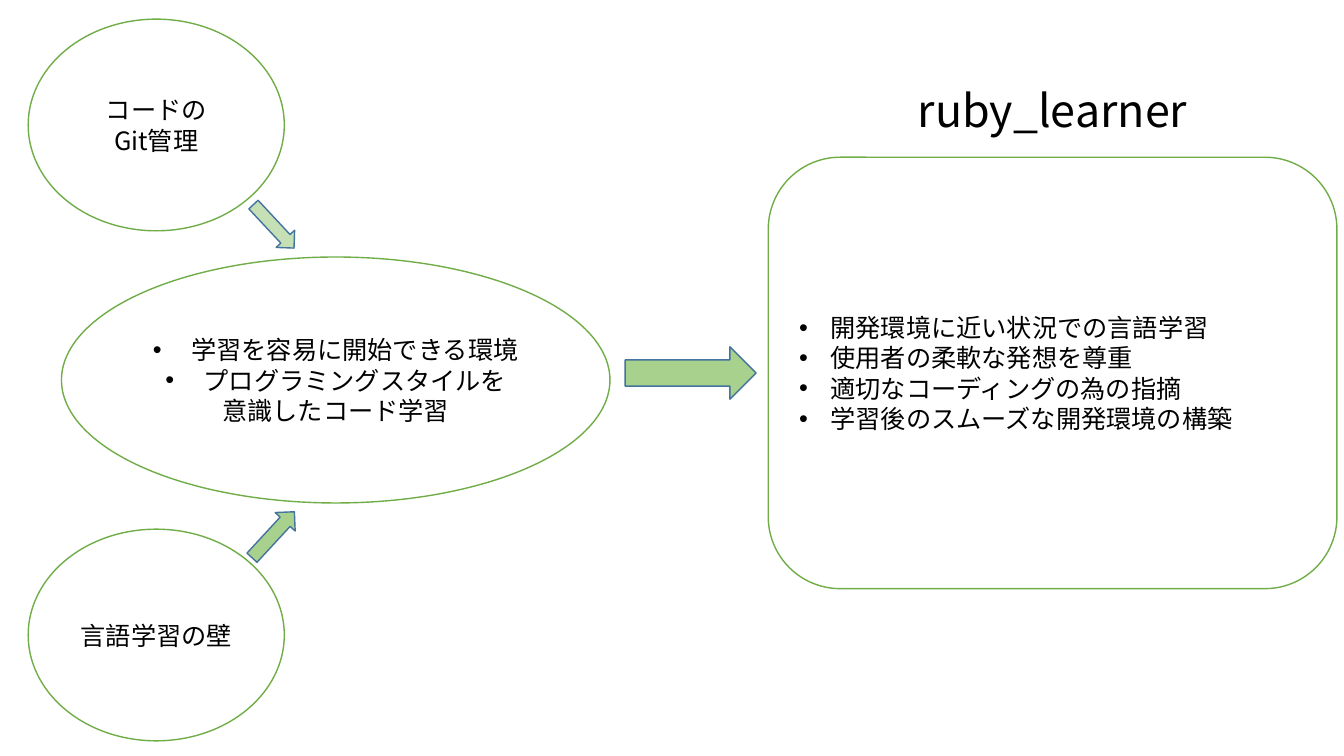
from dataclasses import dataclass

from lxml import etree
from pptx import Presentation
from pptx.dml.color import RGBColor
from pptx.enum.shapes import MSO_SHAPE as Shape
from pptx.enum.text import MSO_ANCHOR as Anchor, MSO_AUTO_SIZE as AutoSize, PP_ALIGN as Align
from pptx.oxml.ns import qn
from pptx.util import Inches, Pt

FONT = "Noto Sans CJK JP"
BLACK = RGBColor(0x00, 0x00, 0x00)
WHITE = RGBColor(0xFF, 0xFF, 0xFF)
GREEN = RGBColor(0x70, 0xAD, 0x47)
MID_GREEN = RGBColor(0xA9, 0xD1, 0x8E)
PALE_GREEN = RGBColor(0xC5, 0xE0, 0xB4)
BLUE = RGBColor(0x43, 0x73, 0x9E)


@dataclass(frozen=True)
class Bubble:
    kind: Shape
    left: float
    top: float
    width: float
    height: float
    lines: tuple[str, ...]
    align: Align = Align.CENTER
    bullets: int = 0
    indent: float = 0


@dataclass(frozen=True)
class Arrow:
    left: float
    top: float
    width: float
    height: float
    fill: RGBColor
    rotation: float = 0


BUBBLES = (
    Bubble(Shape.OVAL, 0.61, 2.55, 5.44, 2.44,
           ("学習を容易に開始できる環境", "プログラミングスタイルを", "意識したコード学習"),
           bullets=2, indent=0.38),
    Bubble(Shape.OVAL, 0.28, 0.19, 2.54, 2.1, ("コードの", "Git管理")),
    Bubble(Shape.OVAL, 0.28, 5.25, 2.54, 2.1, ("言語学習の壁",)),
    Bubble(Shape.ROUNDED_RECTANGLE, 7.62, 1.56, 5.64, 4.28,
           ("開発環境に近い状況での言語学習", "使用者の柔軟な発想を尊重",
            "適切なコーディングの為の指摘", "学習後のスムーズな開発環境の構築"),
           align=Align.LEFT, bullets=4, indent=0.31),
)
ARROWS = (
    Arrow(2.4, 5.17, 0.62, 0.27, MID_GREEN, 312.7),
    Arrow(6.2, 3.44, 1.3, 0.52, MID_GREEN),
    Arrow(2.42, 2.12, 0.59, 0.25, PALE_GREEN, 47),
)


def add_bullet(para, indent: float) -> None:
    properties = para._p.get_or_add_pPr()
    properties.set("marL", str(Inches(indent)))
    properties.set("indent", str(-Inches(indent)))
    etree.SubElement(properties, qn("a:buFont")).set("typeface", "Arial")
    etree.SubElement(properties, qn("a:buChar")).set("char", "•")


def write(frame, lines: tuple[str, ...], *, size: int = 18, align: Align = Align.CENTER,
          anchor: Anchor = Anchor.MIDDLE, bullets: int = 0, indent: float = 0) -> None:
    """Fill the frame with one paragraph per line; the first `bullets` lines get a bullet."""
    frame.word_wrap = True
    frame.vertical_anchor = anchor
    for number, line in enumerate(lines):
        para = frame.add_paragraph() if number else frame.paragraphs[0]
        para.alignment = align
        if number < bullets:
            add_bullet(para, indent)
        span = para.add_run()
        span.text = line
        span.font.size = Pt(size)
        span.font.name = FONT
        span.font.color.rgb = BLACK
        etree.SubElement(span.font._element, qn("a:ea")).set("typeface", FONT)


def add_outlined(page, kind: Shape, item: Bubble | Arrow, fill: RGBColor, line: RGBColor):
    box = page.shapes.add_shape(kind, Inches(item.left), Inches(item.top),
                                Inches(item.width), Inches(item.height))
    box.shadow.inherit = False
    box.fill.solid()
    box.fill.fore_color.rgb = fill
    box.line.color.rgb = line
    box.line.width = Pt(1)
    return box


def add_bubble(page, bubble: Bubble) -> None:
    box = add_outlined(page, bubble.kind, bubble, WHITE, GREEN)
    write(box.text_frame, bubble.lines, align=bubble.align,
          bullets=bubble.bullets, indent=bubble.indent)


def add_arrow(page, arrow: Arrow) -> None:
    box = add_outlined(page, Shape.RIGHT_ARROW, arrow, arrow.fill, BLUE)
    box.rotation = arrow.rotation


def add_title(page) -> None:
    box = page.shapes.add_textbox(Inches(8.73), Inches(0.77), Inches(3.42), Inches(0.64))
    write(box.text_frame, ("ruby_learner",), size=32, anchor=Anchor.TOP)
    box.text_frame.auto_size = AutoSize.SHAPE_TO_FIT_TEXT


def main() -> None:
    deck = Presentation()
    deck.slide_width, deck.slide_height = Inches(13.33), Inches(7.5)
    page = deck.slides.add_slide(deck.slide_layouts[6])
    for bubble in BUBBLES:
        add_bubble(page, bubble)
    for arrow in ARROWS:
        add_arrow(page, arrow)
    add_title(page)
    deck.save("out.pptx")


if __name__ == "__main__":
    main()
